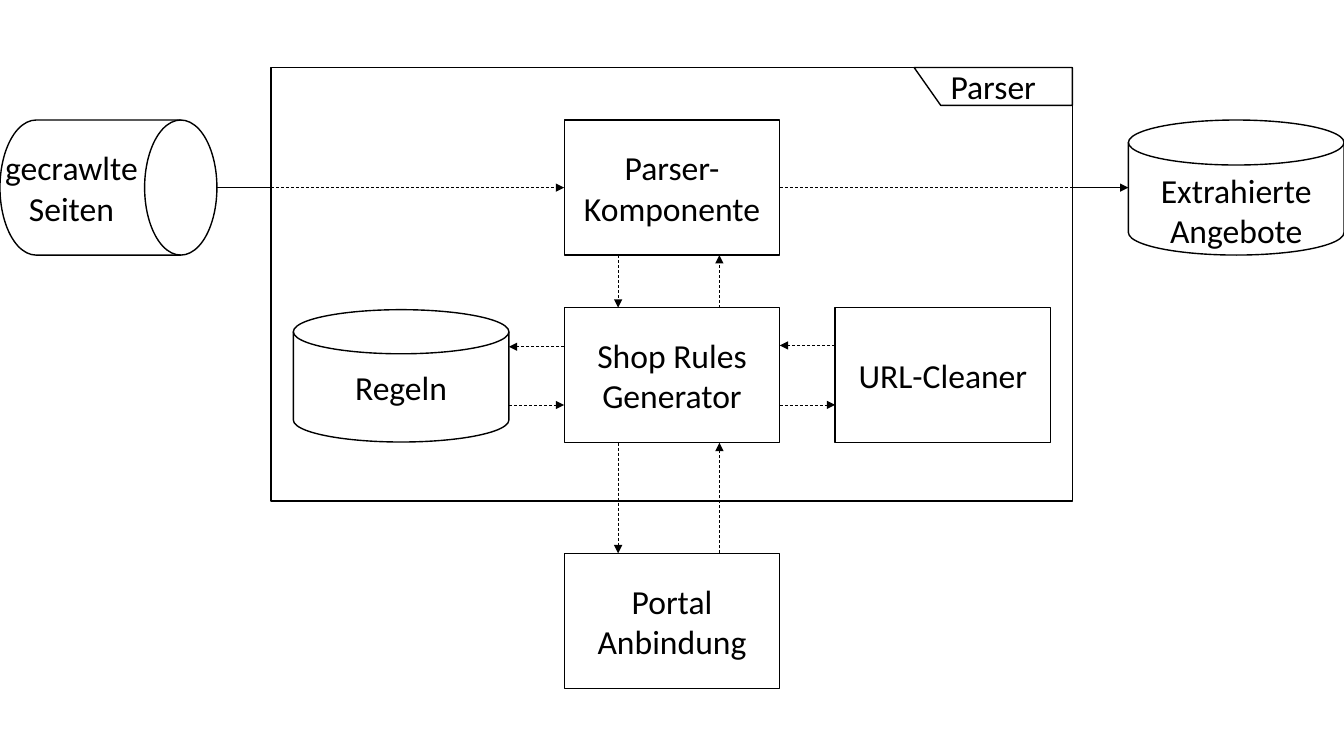
from dataclasses import dataclass

from lxml import etree
from pptx import Presentation
from pptx.dml.color import RGBColor
from pptx.enum import dml, shapes, text
from pptx.oxml import ns
from pptx.util import Pt

KIND = shapes.MSO_SHAPE


@dataclass(frozen=True)
class Theme:
    """Colours, font and line widths."""
    ink: RGBColor = RGBColor(0, 0, 0)
    paper: RGBColor = RGBColor(255, 255, 255)
    font: str = "Calibri"
    size: float = 24
    edge: float = 1
    thin: float = 0.5


@dataclass(frozen=True)
class Box:
    """A rectangle in points."""
    x: float
    y: float
    w: float
    h: float

    def at(self, fx, fy):
        """Point at the given fractions of width and height."""
        return self.x + fx * self.w, self.y + fy * self.h


THEME = Theme()
WIDE, HIGH = 154, 96.5  # size of a node
STEP = 193.5            # column pitch inside the parser
LOW, UP = 0.28, 0.72    # where paired arrows meet a side


def style(shape, label="", fill=None):
    """Outline a shape and write its centred label."""
    shape.shadow.inherit = False
    if fill is None:
        shape.fill.background()
    else:
        shape.fill.solid()
        shape.fill.fore_color.rgb = fill
    shape.line.color.rgb = THEME.ink
    shape.line.width = Pt(THEME.edge)
    frame = shape.text_frame
    frame.word_wrap = True
    frame.vertical_anchor = text.MSO_ANCHOR.MIDDLE
    if label:
        frame.text = label
    for para in frame.paragraphs:
        para.alignment = text.PP_ALIGN.CENTER
        para.font.name = THEME.font
        para.font.size = Pt(THEME.size)
        para.font.color.rgb = THEME.ink
    return frame


def node(slide, box, label="", kind=KIND.RECTANGLE, fill=None):
    """Draw a labelled preset shape that fills the box."""
    shape = slide.shapes.add_shape(
        kind, Pt(box.x), Pt(box.y), Pt(box.w), Pt(box.h))
    return style(shape, label, fill)


def link(slide, start, end, dash=True, tip=True):
    """Draw a thin line, with an arrowhead at its end if tip is set."""
    line = slide.shapes.add_connector(
        shapes.MSO_CONNECTOR.STRAIGHT, *map(Pt, start + end))
    line.line.color.rgb = THEME.ink
    line.line.width = Pt(THEME.thin)
    if dash:
        line.line.dash_style = dml.MSO_LINE.DASH
    if tip:
        etree.SubElement(line.line._get_or_add_ln(), ns.qn("a:tailEnd"),
                         type="triangle")
    etree.SubElement(line._element.spPr, ns.qn("a:effectLst"))


def across(slide, left, right):
    """Link two neighbours: upper arrow to the left, lower to the right."""
    for share, back in ((LOW, True), (UP, False)):
        y = left.at(0, share)[1]
        ends = [(left.x + left.w, y), (right.x, y)]
        link(slide, *(reversed(ends) if back else ends))


def down(slide, top, base):
    """Link two stacked nodes: left arrow down, right arrow up."""
    link(slide, top.at(0.25, 1), base.at(0.25, 0))
    link(slide, base.at(UP, 0), top.at(UP, 1))


def border(slide, box):
    """Draw the parser frame with its name tab at the top right."""
    node(slide, box)
    wide, high, cut = 113, 27, 19
    x, y = box.x + box.w - wide, box.y
    path = slide.shapes.build_freeform(Pt(x), Pt(y))
    path.add_line_segments([
        (Pt(x + wide), Pt(y)), (Pt(x + wide), Pt(y + high)),
        (Pt(x + cut), Pt(y + high))], close=True)
    style(path.convert_to_shape(), "Parser")


def core(slide, box):
    """Draw the parser and its parts; return the main and rules nodes."""
    border(slide, box)
    mid = box.x + 209.5
    main = Box(mid, box.y + 37.5, WIDE, HIGH)
    rules = Box(mid, box.y + 171.5, WIDE, HIGH)
    store = Box(mid - STEP, rules.y + 1.5, WIDE, HIGH - 2)
    clean = Box(mid + STEP, rules.y, WIDE, HIGH)
    node(slide, main, "Parser-Komponente", fill=THEME.paper)
    node(slide, rules, "Shop Rules Generator")
    node(slide, store, "Regeln", KIND.FLOWCHART_MAGNETIC_DISK)
    node(slide, clean, "URL-Cleaner")
    down(slide, main, rules)
    across(slide, store, rules)
    across(slide, rules, clean)
    return main, rules


def flow(slide, box, frame, main):
    """Draw input and output at the box sides, linked through main."""
    pages = Box(box.x, box.y, WIDE + 1, box.h)
    deals = Box(box.x + box.w - WIDE, box.y, WIDE, box.h)
    drum = node(slide, pages, "gecrawlte\nSeiten",
                KIND.FLOWCHART_DIRECT_ACCESS_STORAGE, THEME.paper)
    drum.word_wrap = False
    drum.margin_left, drum.margin_right = 0, Pt(27)
    disk = node(slide, deals, "Extrahierte Angebote",
                KIND.FLOWCHART_MAGNETIC_DISK)
    disk.vertical_anchor = text.MSO_ANCHOR.TOP
    y = main.at(0, 0.5)[1]
    near, far = (frame.x, y), (frame.x + frame.w, y)
    link(slide, pages.at(1, 0.5), near, dash=False, tip=False)
    link(slide, near, main.at(0, 0.5))
    link(slide, main.at(1, 0.5), far, tip=False)
    link(slide, far, deals.at(0, 0.5), dash=False)


def shop(slide, box, rules):
    """Draw the outside connection below the parser."""
    node(slide, box, "Portal\vAnbindung")
    down(slide, rules, box)


def build():
    """Lay out the slide and save it."""
    deck = Presentation()
    deck.slide_width, deck.slide_height = Pt(960), Pt(540)
    slide = deck.slides.add_slide(deck.slide_layouts[6])
    frame = Box(193.5, 48.25, 572.5, 309.75)
    main, rules = core(slide, frame)
    flow(slide, Box(0, main.y, 960, HIGH), frame, main)
    shop(slide, Box(rules.x, 395.25, WIDE, HIGH), rules)
    deck.save("out.pptx")


build()
